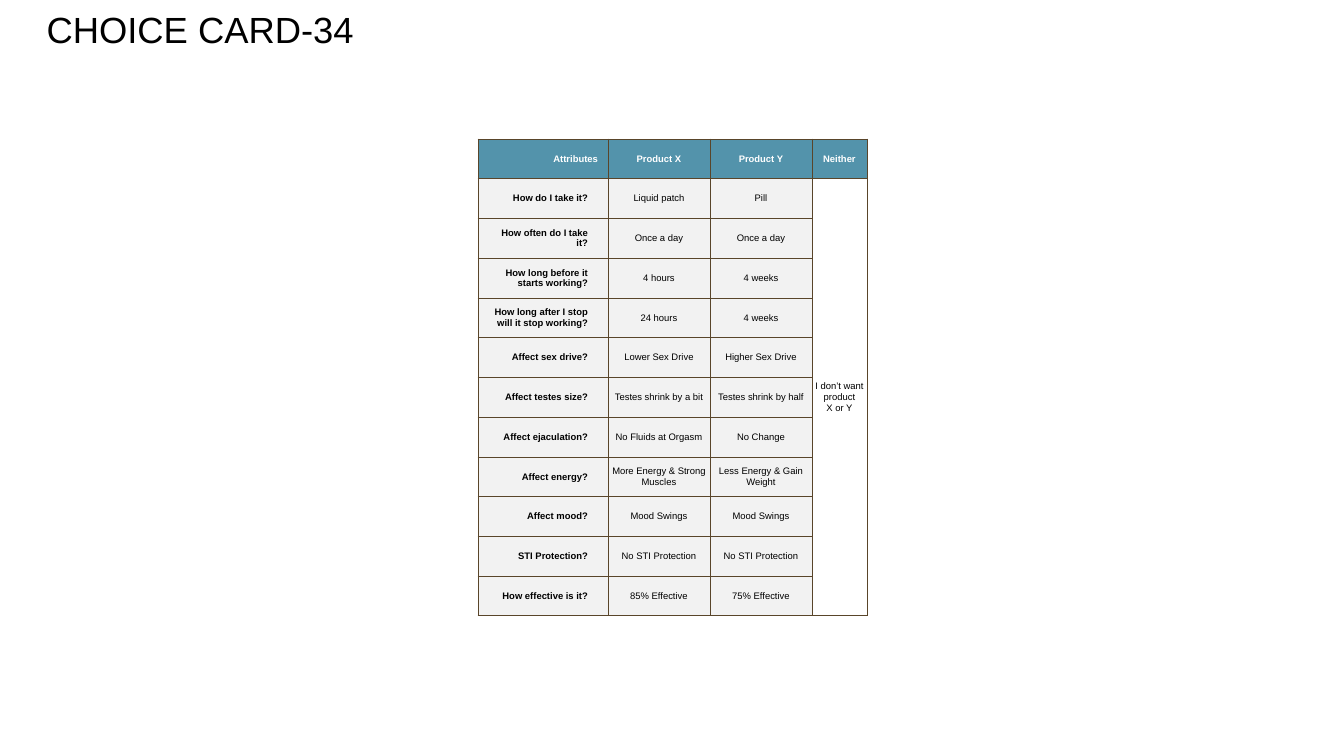
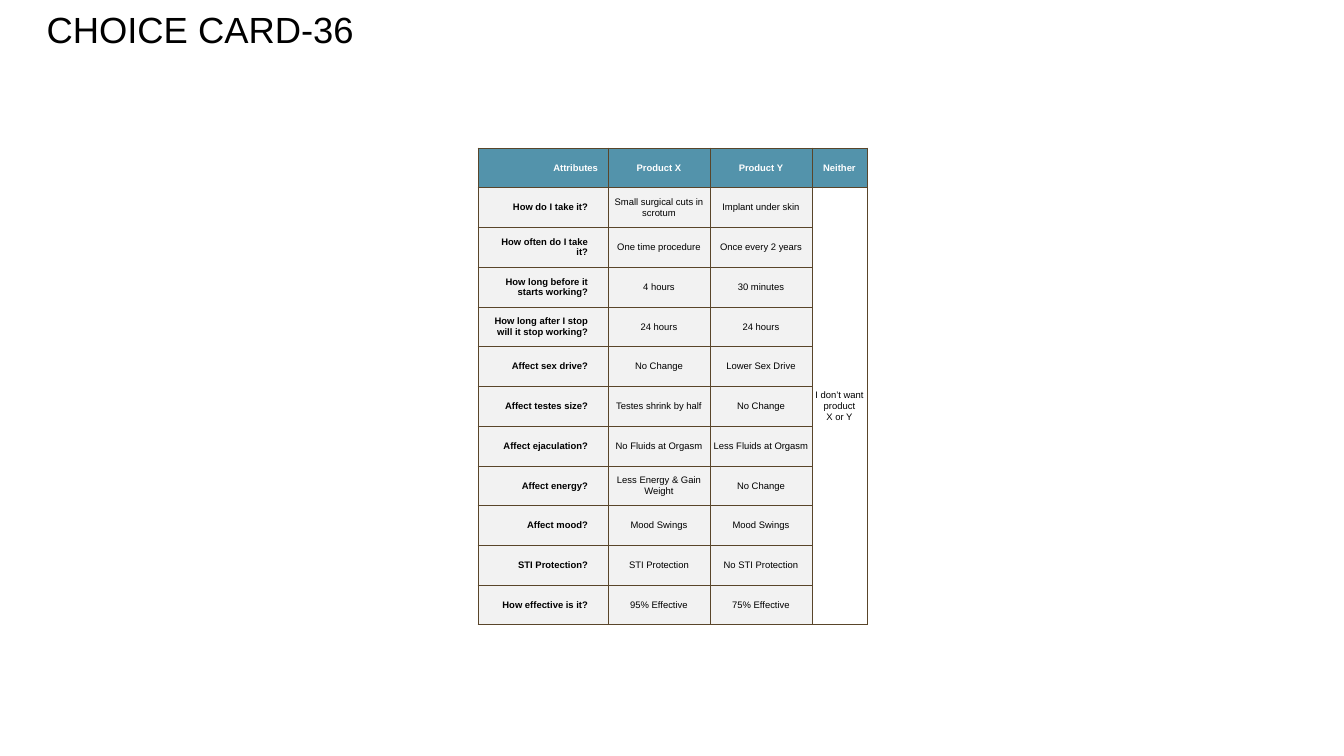
import pptx
import pptx.dml.color
import pptx.enum.text
import pptx.oxml
import pptx.oxml.ns
import pptx.util

SCALE = 914400 / 56.7
ALIGN = pptx.enum.text.PP_ALIGN
QUESTIONS = [
    "How do I take it?", "How often do I take it?", "How long before it starts working?",
    "How long after I stop will it stop working?", "Affect sex drive?", "Affect testes size?",
    "Affect ejaculation?", "Affect energy?", "Affect mood?", "STI Protection?",
    "How effective is it?",
]
CARDS = [
    ("CHOICE CARD-34", 139,
     ["Liquid patch", "Once a day", "4 hours", "24 hours", "Lower Sex Drive",
      "Testes shrink by a bit", "No Fluids at Orgasm", "More Energy & Strong Muscles",
      "Mood Swings", "No STI Protection", "85% Effective"],
     ["Pill", "Once a day", "4 weeks", "4 weeks", "Higher Sex Drive",
      "Testes shrink by half", "No Change", "Less Energy & Gain Weight",
      "Mood Swings", "No STI Protection", "75% Effective"]),
    ("CHOICE CARD-36", 148,
     ["Small surgical cuts in scrotum", "One time procedure", "4 hours", "24 hours",
      "No Change", "Testes shrink by half", "No Fluids at Orgasm",
      "Less Energy & Gain Weight", "Mood Swings", "STI Protection", "95% Effective"],
     ["Implant under skin", "Once every 2 years", "30 minutes", "24 hours",
      "Lower Sex Drive", "No Change", "Less Fluids at Orgasm", "No Change",
      "Mood Swings", "No STI Protection", "75% Effective"]),
]


def px(length):
    return pptx.util.Emu(round(length * SCALE))


def color(value):
    return pptx.dml.color.RGBColor.from_string(value)


def write(frame, text, size=12, ink="000000", bold=False, align=ALIGN.LEFT, leading=None):
    frame.word_wrap = True
    for index, line in enumerate(text.split("\n")):
        para = frame.add_paragraph() if index else frame.paragraphs[0]
        para.alignment = align
        if leading:
            para.line_spacing = pptx.util.Pt(leading)
        span = para.add_run()
        span.text = line
        span.font.name = "Arial"
        span.font.size = pptx.util.Pt(size)
        span.font.bold = bold
        span.font.color.rgb = color(ink)


class ChoiceDeck:
    HEADER = "5393AB"
    PANEL = "F2F2F2"
    WHITE = "FFFFFF"
    BORDER = "59452A"
    COLUMNS = (130, 102, 102, 55)
    HEADER_INSETS = (10, 5, 10, 5)
    QUESTION_INSETS = (10, 5, 20, 5)
    ANSWER_INSETS = (2, 1, 2, 1)

    def __init__(self):
        self.deck = pptx.Presentation()
        self.deck.slide_width = px(1344)
        self.deck.slide_height = px(756)
        self.page = None

    def add_page(self):
        self.page = self.deck.slides.add_slide(self.deck.slide_layouts[6])

    def title(self, text):
        box = self.page.shapes.add_textbox(px(41), px(24), px(1023), px(42))
        write(box.text_frame, text, size=46.2, leading=30.7)

    def cell(self, cell, text, fill, insets, **style):
        cell.fill.solid()
        cell.fill.fore_color.rgb = color(fill)
        cell.vertical_anchor = pptx.enum.text.MSO_ANCHOR.MIDDLE
        (cell.margin_left, cell.margin_top,
         cell.margin_right, cell.margin_bottom) = map(px, insets)
        write(cell.text_frame, text, **style)

    def border(self, cell):
        properties = cell._tc.get_or_add_tcPr()
        for index, side in enumerate(("lnL", "lnR", "lnT", "lnB")):
            properties.insert(index, pptx.oxml.parse_xml(
                f'<a:{side} {pptx.oxml.ns.nsdecls("a")} w="12700"><a:solidFill>'
                f'<a:srgbClr val="{self.BORDER}"/></a:solidFill></a:{side}>'))

    def choice_table(self, top, product_x, product_y):
        rows = len(QUESTIONS) + 1
        height = px(477)
        frame = self.page.shapes.add_table(
            rows, len(self.COLUMNS), px(478), px(top), px(sum(self.COLUMNS)), height)
        table = frame.table
        table.first_row = table.horz_banding = False
        for column, width in zip(table.columns, self.COLUMNS):
            column.width = px(width)
        for row in table.rows:
            row.height = height // rows
        for index, heading in enumerate(("Attributes", "Product X", "Product Y", "Neither")):
            self.cell(table.cell(0, index), heading, self.HEADER, self.HEADER_INSETS,
                      ink=self.WHITE, bold=True,
                      align=ALIGN.CENTER if index else ALIGN.RIGHT)
        for index, (question, *answers) in enumerate(zip(QUESTIONS, product_x, product_y), 1):
            self.cell(table.cell(index, 0), question, self.PANEL, self.QUESTION_INSETS,
                      bold=True, align=ALIGN.RIGHT)
            for column, answer in enumerate(answers, 1):
                self.cell(table.cell(index, column), answer, self.PANEL,
                          self.ANSWER_INSETS, align=ALIGN.CENTER)
        neither = table.cell(1, 3)
        neither.merge(table.cell(rows - 1, 3))
        self.cell(neither, "I don’t want product\nX or Y", self.WHITE,
                  self.ANSWER_INSETS, align=ALIGN.CENTER)
        for cell in table.iter_cells():
            self.border(cell)


def main():
    cards = ChoiceDeck()
    for title, top, product_x, product_y in CARDS:
        cards.add_page()
        cards.title(title)
        cards.choice_table(top, product_x, product_y)
    cards.deck.save("out.pptx")


if __name__ == "__main__":
    main()
